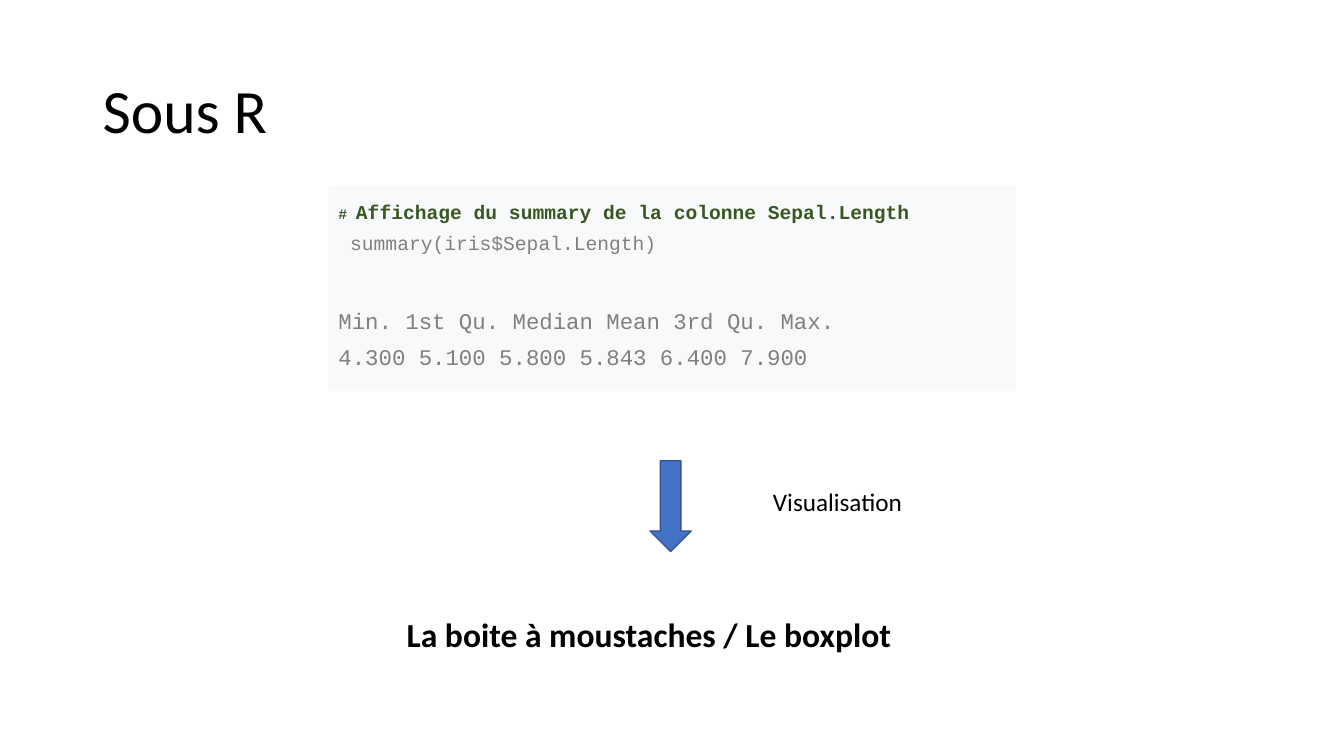
"""Build the slide that shows a summary in R and leads to the boxplot."""
from pptx import Presentation
from pptx.dml import color
from pptx.enum import shapes, text
from pptx.util import Cm, Pt

COLORS = {"page": "FFFFFF", "ink": "000000", "panel": "F8F9FA", "comment": "385723",
          "code": "808080", "arrow": "4472C4", "edge": "325491"}
SANS, MONO = "Calibri", "Courier New"


def rgb(name):
    """Return the named colour."""
    return color.RGBColor.from_string(COLORS[name])


def add_run(p, content, size=18, font=SANS, ink="ink", bold=False):
    """Add formatted text to a paragraph."""
    r = p.add_run()
    r.text = content
    r.font.size, r.font.name, r.font.bold = Pt(size), font, bold
    r.font.color.rgb = rgb(ink)


def place(sp, x, y, w, h):
    """Move a shape to a box given in centimetres."""
    sp.left, sp.top, sp.width, sp.height = Cm(x), Cm(y), Cm(w), Cm(h)


def add_title(s, box, content):
    """Fill the title placeholder."""
    sp = s.shapes.title
    place(sp, *box)
    tf = sp.text_frame
    tf.auto_size = text.MSO_AUTO_SIZE.NONE
    tf.vertical_anchor = text.MSO_ANCHOR.MIDDLE
    p = tf.paragraphs[0]
    p.alignment, p.line_spacing = text.PP_ALIGN.LEFT, 0.9
    add_run(p, content, size=44)


def add_code(s, box):
    """Draw the panel with the R call and its output."""
    sp = s.shapes.add_shape(shapes.MSO_SHAPE.RECTANGLE, *map(Cm, box))
    sp.shadow.inherit = False
    sp.fill.solid()
    sp.fill.fore_color.rgb = rgb("panel")
    sp.line.fill.background()
    tf = sp.text_frame
    tf.word_wrap = True
    tf.vertical_anchor = text.MSO_ANCHOR.TOP
    tf.margin_top = Cm(0.35)
    comment = {"ink": "comment", "bold": True}
    lines = [
        (0, [("# ", 10.5, comment),
             ("Affichage du summary de la colonne Sepal.Length", 14, comment)]),
        (4.8, [(" summary(iris$Sepal.Length)", 14, {"ink": "code"})]),
        (38, [("Min. 1st Qu. Median Mean 3rd Qu. Max.", 16, {"ink": "code"})]),
        (6.2, [("4.300 5.100 5.800 5.843 6.400 7.900", 16, {"ink": "code"})]),
    ]
    for i, (gap, runs) in enumerate(lines):
        p = tf.add_paragraph() if i else tf.paragraphs[0]
        p.alignment, p.space_before = text.PP_ALIGN.LEFT, Pt(gap)
        for content, size, style in runs:
            add_run(p, content, size=size, font=MONO, **style)


def add_label(s, box, content, align=text.PP_ALIGN.LEFT, **style):
    """Add a one-line text box."""
    tf = s.shapes.add_textbox(*map(Cm, box)).text_frame
    tf.word_wrap = True
    tf.auto_size = text.MSO_AUTO_SIZE.SHAPE_TO_FIT_TEXT
    tf.paragraphs[0].alignment = align
    add_run(tf.paragraphs[0], content, **style)


def add_step(s, box):
    """Draw the down arrow at the left of the box and its label beside it."""
    x, y, w, h = box
    sp = s.shapes.add_shape(shapes.MSO_SHAPE.DOWN_ARROW, Cm(x), Cm(y), Cm(1.04), Cm(h))
    sp.shadow.inherit = False
    sp.fill.solid()
    sp.fill.fore_color.rgb = rgb("arrow")
    sp.line.color.rgb = rgb("edge")
    sp.line.width = Pt(1)
    add_label(s, (x + 2.85, y + 0.51, w - 2.85, 1.04), "Visualisation")


def main():
    """Assemble and save the slide."""
    prs = Presentation()
    prs.slide_width, prs.slide_height = Cm(33.87), Cm(19.05)
    s = prs.slides.add_slide(prs.slide_layouts[5])
    s.background.fill.solid()
    s.background.fill.fore_color.rgb = rgb("page")
    add_title(s, (2.33, 1.01, 29.21, 3.68), "Sous R")
    add_code(s, (8.28, 4.7, 17.32, 5.16))
    add_step(s, (16.38, 11.61, 10.83, 2.29))
    add_label(s, (5.51, 15.34, 21.69, 1.27), "La boite à moustaches / Le boxplot",
              align=text.PP_ALIGN.CENTER, size=24, bold=True)
    prs.save("out.pptx")


if __name__ == "__main__":
    main()
